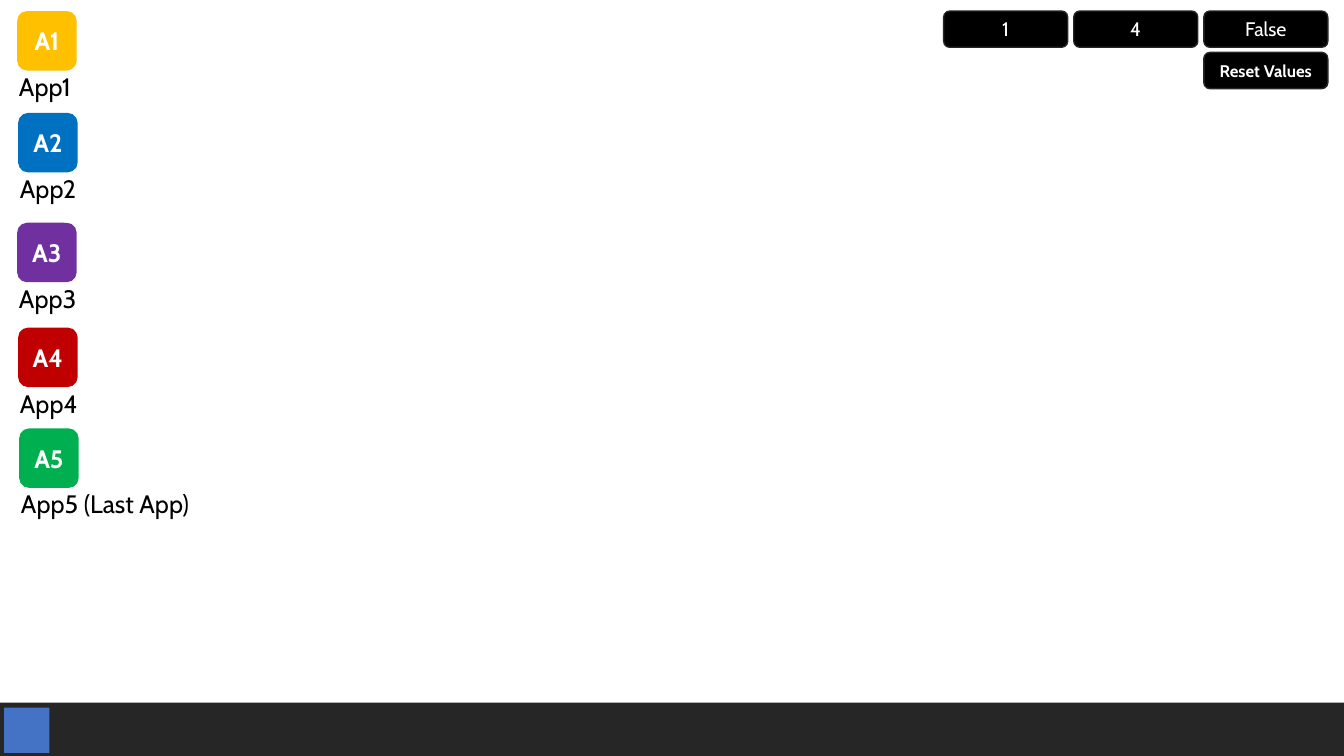
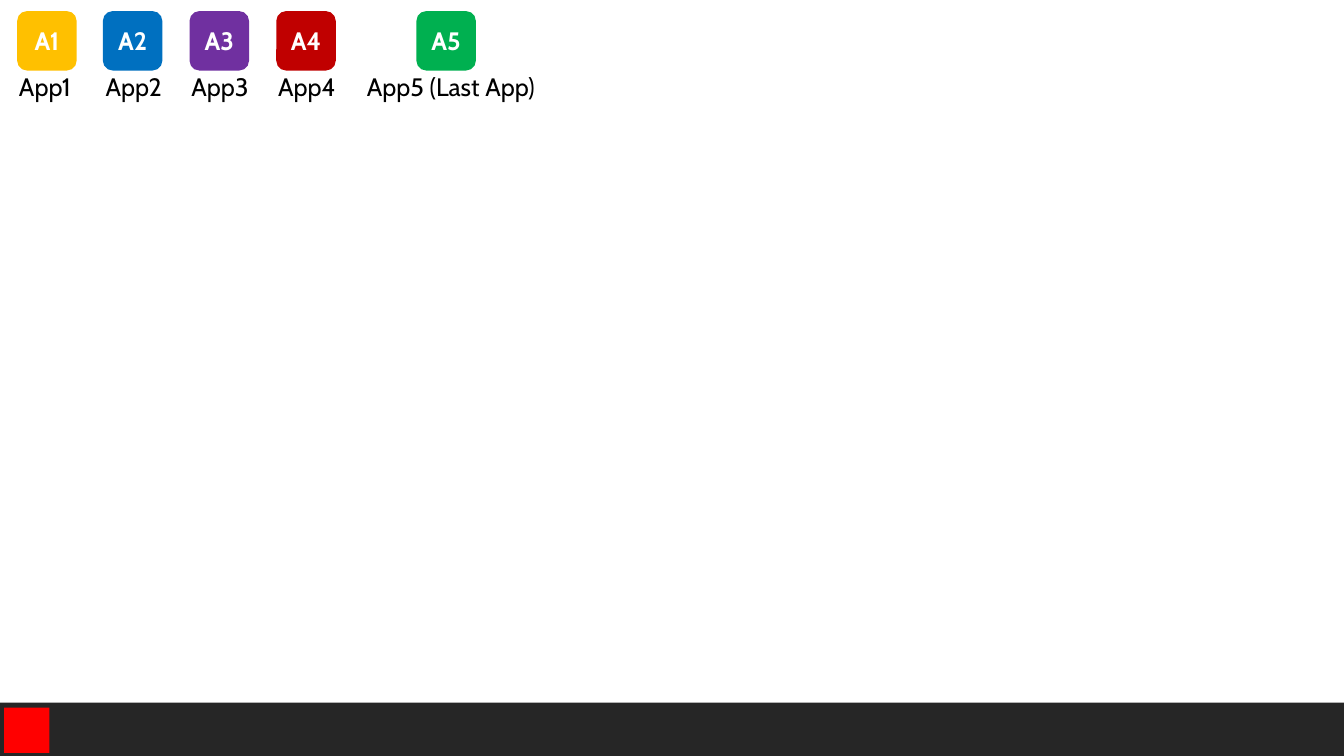
from pptx import Presentation
from pptx.dml.color import RGBColor
from pptx.enum.shapes import MSO_SHAPE
from pptx.enum.text import MSO_ANCHOR, MSO_AUTO_SIZE, PP_ALIGN
from pptx.util import Pt

PX = 9144  # 100 px to the inch
WIDE, HIGH = 1333, 750
FONT = "Cabin"
COLORS = {
    "white": "FFFFFF", "black": "000000", "dark": "262626",
    "gold": "FFC000", "blue": "0070C0", "purple": "7030A0",
    "crimson": "C00000", "green": "00B050",
    "start": "4472C4", "red": "FF0000",
}
TILE = 59
APPS = [("A1", "App1", "gold"), ("A2", "App2", "blue"), ("A3", "App3", "purple"),
        ("A4", "App4", "crimson"), ("A5", "App5 (Last App)", "green")]


def color(name):
    return RGBColor.from_string(COLORS[name])


def put(slide, box, text="", *, kind=None, fill=None, line=None,
        size=18, bold=False, ink="white"):
    """Add a centred shape of the given kind, or an unwrapped text box if none."""
    area = [n * PX for n in box]
    if kind is None:
        item = slide.shapes.add_textbox(*area)
    else:
        item = slide.shapes.add_shape(kind, *area)
        item.shadow.inherit = False
        item.fill.solid()
        item.fill.fore_color.rgb = color(fill)
        if line:
            item.line.color.rgb = color(line)
            item.line.width = Pt(1)
        else:
            item.line.fill.background()
    if not text:
        return
    frame = item.text_frame
    para = frame.paragraphs[0]
    if kind is None:
        frame.word_wrap = False
        frame.auto_size = MSO_AUTO_SIZE.SHAPE_TO_FIT_TEXT
    else:
        frame.vertical_anchor = MSO_ANCHOR.MIDDLE
        para.alignment = PP_ALIGN.CENTER
    run = para.add_run()
    run.text = text
    run.font.name = FONT
    run.font.size = Pt(size)
    run.font.bold = bold
    run.font.color.rgb = color(ink)


deck = Presentation()
deck.slide_width, deck.slide_height = WIDE * PX, HIGH * PX

# Each page: start button colour, then left and top of every tile and left of its label
PAGES = [
    ("start", [(17, 11, 9), (18, 112, 10), (17, 221, 9), (18, 325, 10), (19, 425, 11)]),
    ("red", [(17, 11, 9), (102, 11, 95), (188, 11, 180), (274, 11, 266), (413, 11, 354)]),
]
for start, spots in PAGES:
    slide = deck.slides.add_slide(deck.slide_layouts[6])
    put(slide, (0, 697, WIDE, 53), kind=MSO_SHAPE.RECTANGLE, fill="dark")
    put(slide, (4, 702, 45, 45), kind=MSO_SHAPE.RECTANGLE, fill=start)
    for (code, name, hue), (left, top, edge) in zip(APPS, spots):
        put(slide, (left, top, TILE, TILE), code, bold=True,
            kind=MSO_SHAPE.ROUNDED_RECTANGLE, fill=hue)
        width = 80 if len(name) == 4 else 199
        put(slide, (edge, top + 55, width, 40), name, ink="black")

# Value buttons on the first slide, as column, row, text, size and weight
BUTTONS = [(0, 0, "1", 14, False), (1, 0, "4", 14, False),
           (2, 0, "False", 14, False), (2, 1, "Reset Values", 12, True)]
for col, row, text, size, bold in BUTTONS:
    put(deck.slides[0], (936 + col * 129, 11 + row * 41, 123, 36), text,
        kind=MSO_SHAPE.ROUNDED_RECTANGLE, fill="black", line="dark",
        size=size, bold=bold)

deck.save("out.pptx")
